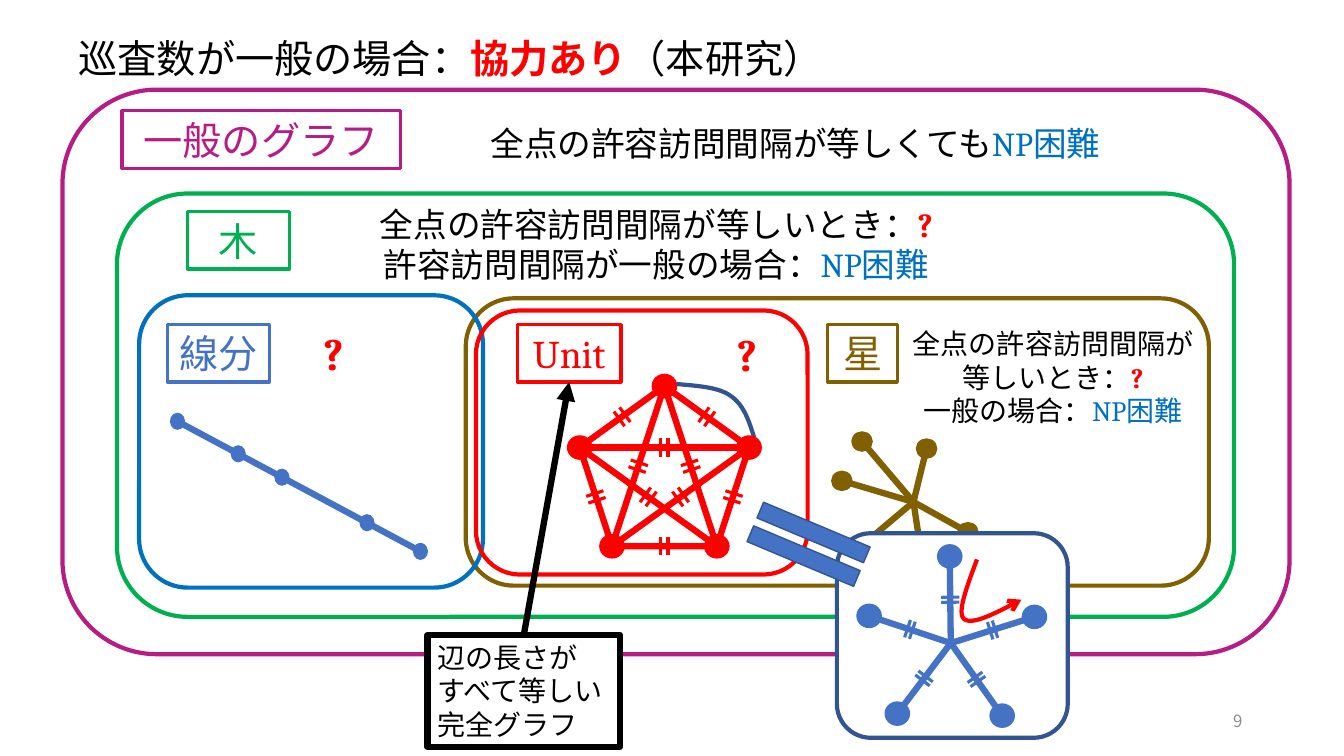
from dataclasses import dataclass
from itertools import combinations
from math import hypot

from lxml.etree import SubElement
from pptx import Presentation
from pptx.dml.color import RGBColor
from pptx.enum.shapes import MSO_CONNECTOR, MSO_SHAPE
from pptx.enum.text import MSO_ANCHOR as ANCHOR, PP_ALIGN as ALIGN
from pptx.oxml.ns import qn
from pptx.util import Inches, Pt


@dataclass(frozen=True)
class Theme:
    japanese: str = "Noto Sans CJK JP"
    latin: str = "Cambria"
    black: str = "000000"
    white: str = "FFFFFF"
    grey: str = "8C8C8C"
    red: str = "FF0000"
    purple: str = "B61C83"
    green: str = "00B050"
    brown: str = "806000"
    blue: str = "0070C0"
    soft_blue: str = "4472C4"
    dark_blue: str = "325491"
    mark: int = 32
    heading: int = 28
    body: int = 24
    small: int = 20
    footer: int = 12
    thin: float = 1
    tick: float = 2.25
    frame: float = 3
    edge: float = 4.5


THEME = Theme()


@dataclass(frozen=True)
class Run:
    text: str
    color: str = THEME.black
    face: str = THEME.japanese
    bold: bool = False


UNKNOWN = Run("?", THEME.red, THEME.latin, True)
NP_HARD = [Run("NP", THEME.blue, THEME.latin), Run("困難", THEME.blue)]


def style_font(font, run):
    font.bold = run.bold
    font.color.rgb = RGBColor.from_string(run.color)
    font.name = run.face
    SubElement(font._element, qn("a:ea"), typeface=THEME.japanese)


def write(shape, paragraphs, size, align=ALIGN.CENTER, anchor=ANCHOR.TOP):
    """Fill a shape with paragraphs, each a list of runs."""
    frame = shape.text_frame
    frame.word_wrap = True
    frame.vertical_anchor = anchor
    for index, runs in enumerate(paragraphs):
        paragraph = frame.add_paragraph() if index else frame.paragraphs[0]
        paragraph.alignment = align
        paragraph.font.size = Pt(size)
        for run in runs:
            text_run = paragraph.add_run()
            text_run.text = run.text
            if len(runs) > 1:
                style_font(text_run.font, run)
        if len(runs) == 1:
            style_font(paragraph.font, runs[0])


def add_text(slide, box, paragraphs, size, **layout):
    shape = slide.shapes.add_textbox(*map(Inches, box))
    write(shape, paragraphs, size, **layout)


def paint(shape, line=None, width=THEME.frame, fill=None):
    shape.shadow.inherit = False
    if fill:
        shape.fill.solid()
        shape.fill.fore_color.rgb = RGBColor.from_string(fill)
    else:
        shape.fill.background()
    if line:
        shape.line.color.rgb = RGBColor.from_string(line)
        shape.line.width = Pt(width)
    else:
        shape.line.fill.background()


def add_outline(slide, kind, box, line, width=THEME.frame, fill=None):
    shape = slide.shapes.add_shape(kind, *map(Inches, box))
    paint(shape, line, width, fill)
    return shape


def add_region(slide, box, color, fill=None):
    add_outline(slide, MSO_SHAPE.ROUNDED_RECTANGLE, box, color, fill=fill)


def add_label(slide, box, text, color, face=THEME.japanese):
    label = add_outline(slide, MSO_SHAPE.RECTANGLE, box, color, THEME.tick)
    write(label, [[Run(text, color, face)]], THEME.heading, anchor=ANCHOR.MIDDLE)
    return label


def add_arrowhead(shape, kind):
    SubElement(shape.line._get_or_add_ln(), qn("a:tailEnd"), type=kind)


def add_line(slide, start, end, color, width=THEME.edge):
    line = slide.shapes.add_connector(MSO_CONNECTOR.STRAIGHT, *map(Inches, (*start, *end)))
    line.line.color.rgb = RGBColor.from_string(color)
    line.line.width = Pt(width)
    SubElement(line._element.spPr, qn("a:effectLst"))
    return line


def add_dot(slide, center, color, width, height, line=None):
    x, y = center
    box = (x - width / 2, y - height / 2, width, height)
    add_outline(slide, MSO_SHAPE.OVAL, box, line, THEME.thin, color)


def add_equal_ticks(slide, start, end, color, gap):
    """Mark the middle of an edge with two short strokes across it."""
    dx, dy = end[0] - start[0], end[1] - start[1]
    length = hypot(dx, dy)
    ux, uy = dx / length, dy / length
    half = 0.09
    for shift in (-gap / 2, gap / 2):
        x = (start[0] + end[0]) / 2 + shift * ux
        y = (start[1] + end[1]) / 2 + shift * uy
        add_line(slide, (x - half * uy, y + half * ux), (x + half * uy, y - half * ux),
                 color, THEME.tick)


def add_curve(slide, start, beziers, color, steps=12):
    """Draw an open curve through cubic Bezier pieces."""
    points, origin = [], start
    for first, second, end in beziers:
        for step in range(1, steps + 1):
            t = step / steps
            weights = ((1 - t) ** 3, 3 * t * (1 - t) ** 2, 3 * t * t * (1 - t), t ** 3)
            controls = (origin, first, second, end)
            points.append(tuple(Inches(sum(w * point[axis] for w, point in zip(weights, controls)))
                                for axis in (0, 1)))
        origin = end
    builder = slide.shapes.build_freeform(*map(Inches, start), scale=1.0)
    builder.add_line_segments(points, close=False)
    curve = builder.convert_to_shape()
    paint(curve, color)
    return curve


def add_segment_graph(slide):
    start, end = (1.76, 4.18), (4.17, 5.47)
    add_line(slide, start, end, THEME.soft_blue)
    for part in (0, 0.25, 0.43, 0.78, 1):
        center = [a + part * (b - a) for a, b in zip(start, end)]
        add_dot(slide, center, THEME.soft_blue, 0.15, 0.17)


def add_star_graph(slide, center, leaves, color, dot, bare_ends=(), tick_gap=None):
    for end in (*bare_ends, *leaves):
        add_line(slide, center, end, color)
    for leaf in leaves:
        add_dot(slide, leaf, color, *dot, line=color)
        if tick_gap:
            add_equal_ticks(slide, center, leaf, color, tick_gap)


def add_complete_graph(slide):
    vertices = [(6.59, 3.83), (7.43, 4.44), (7.11, 5.42), (6.07, 5.42), (5.75, 4.44)]
    add_outline(slide, MSO_SHAPE.REGULAR_PENTAGON, (5.75, 3.83, 1.68, 1.59), THEME.red, THEME.edge)
    for first, second in combinations(range(5), 2):
        ends = vertices[first], vertices[second]
        if second - first in (2, 3):
            add_line(slide, *ends, THEME.red)
        add_equal_ticks(slide, *ends, THEME.red, 0.07)
    for vertex in vertices:
        add_dot(slide, vertex, THEME.red, 0.24, 0.23, THEME.red)


def main():
    presentation = Presentation()
    presentation.slide_width, presentation.slide_height = Inches(13.33), Inches(7.5)
    slide = presentation.slides.add_slide(presentation.slide_layouts[5])

    title = slide.shapes.title
    title.left, title.top, title.width, title.height = map(Inches, (0.68, 0.29, 7.8, 0.57))
    write(title, [[Run("巡査数が一般の場合："), Run("協力あり", THEME.red, bold=True),
                   Run("（本研究）")]], THEME.heading, align=ALIGN.LEFT)

    for box, color in (((4.62, 2.96, 7.37, 2.85), THEME.brown),
                       ((0.62, 0.89, 12.17, 5.6), THEME.purple),
                       ((1.38, 2.93, 3.41, 2.9), THEME.blue),
                       ((1.16, 1.92, 11.08, 4.2), THEME.green),
                       ((4.72, 3.08, 3.29, 2.62), THEME.red)):
        add_region(slide, box, color)

    add_label(slide, (1.21, 1.1, 2.76, 0.57), "一般のグラフ", THEME.purple)
    add_label(slide, (1.86, 2.1, 1.01, 0.57), "木", THEME.green)
    add_label(slide, (1.66, 3.22, 1.01, 0.57), "線分", THEME.soft_blue)
    add_label(slide, (8.21, 3.22, 0.69, 0.57), "星", THEME.brown)
    unit = add_label(slide, (5.13, 3.22, 1.03, 0.57), "Unit", THEME.red, THEME.latin)

    equal_case = [Run("全点の許容訪問間隔が等しいとき："), UNKNOWN]
    add_text(slide, (4.01, 1.17, 7.76, 0.5),
             [[Run("全点の許容訪問間隔が等しくても"), *NP_HARD]], THEME.body)
    add_text(slide, (2.87, 1.97, 7.28, 0.91),
             [equal_case, [Run("許容訪問間隔が一般の場合："), *NP_HARD]], THEME.body)
    add_text(slide, (8.9, 3.19, 3.09, 1.11),
             [equal_case, [Run("一般の場合："), *NP_HARD]], THEME.small)
    for left, top in ((3.11, 3.18), (7.21, 3.19)):
        add_text(slide, (left, top, 0.39, 0.64), [[UNKNOWN]], THEME.mark, align=ALIGN.LEFT)

    add_segment_graph(slide)
    add_star_graph(slide, (9.06, 4.98), [(8.55, 4.38), (9.19, 4.45), (9.6, 5.28), (8.35, 4.77)],
                   THEME.brown, (0.2, 0.19), bare_ends=[(9.16, 5.64), (8.55, 5.41)])

    add_region(slide, (8.3, 5.29, 2.29, 2.03), THEME.dark_blue, THEME.white)
    add_star_graph(slide, (9.43, 6.38),
                   [(9.42, 5.52), (10.26, 6.12), (9.94, 7.1), (8.9, 7.08), (8.62, 6.11)],
                   THEME.soft_blue, (0.24, 0.23), tick_gap=0.05)
    patrol = add_curve(slide, (9.69, 5.55), [((9.59, 5.82), (9.49, 6.08), (9.56, 6.14)),
                                             ((9.64, 6.21), (9.88, 6.08), (10.13, 5.95))], THEME.red)
    add_arrowhead(patrol, "arrow")

    equals = add_outline(slide, MSO_SHAPE.MATH_EQUAL, (7.24, 5.04, 1.56, 0.72),
                         THEME.dark_blue, THEME.thin, THEME.soft_blue)
    equals.rotation = 22.8
    add_curve(slide, (6.71, 3.81), [((6.92, 3.83), (7.13, 3.84), (7.25, 3.93)),
                                    ((7.38, 4.02), (7.43, 4.18), (7.48, 4.34))], THEME.dark_blue)
    add_complete_graph(slide)

    add_text(slide, (9.42, 6.95, 3, 0.4), [[Run("9", THEME.grey)]], THEME.footer,
             align=ALIGN.RIGHT, anchor=ANCHOR.MIDDLE)
    callout = add_outline(slide, MSO_SHAPE.RECTANGLE, (4.24, 6.3, 1.91, 1.11),
                          THEME.black, THEME.edge, THEME.white)
    write(callout, [[Run(text)] for text in ("辺の長さが", "すべて等しい", "完全グラフ")],
          THEME.small, align=ALIGN.LEFT)
    pointer = add_line(slide, (5.2, 6.3), (5.64, 3.79), THEME.black)
    pointer.begin_connect(callout, 0)
    pointer.end_connect(unit, 2)
    add_arrowhead(pointer, "triangle")

    presentation.save("out.pptx")


if __name__ == "__main__":
    main()
